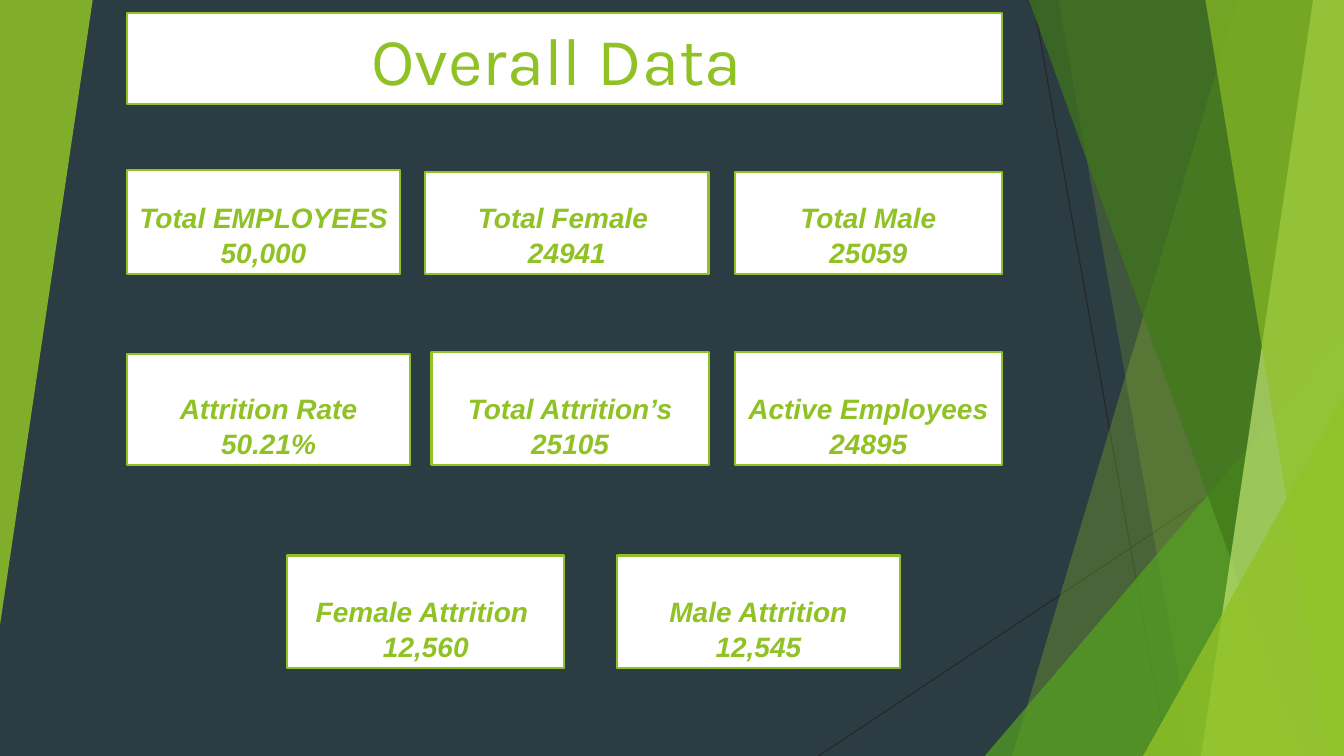
"""Build the overall data slide of employee and attrition totals."""
from lxml import etree
from pptx import Presentation
from pptx.dml.color import RGBColor
from pptx.enum.shapes import MSO_CONNECTOR, MSO_SHAPE
from pptx.enum.text import MSO_ANCHOR, MSO_AUTO_SIZE, PP_ALIGN
from pptx.oxml.ns import qn
from pptx.util import Pt

WIDTH, HEIGHT = 960, 540
TITLE = "Overall Data "
TITLE_AREA = (90.7, 9.2, 625, 65)

CARD_ROWS = [
    (195.8, [
        (90.7, 195.1, 74.2, "Total EMPLOYEES", "50,000"),
        (303.8, 202.3, 72.7, "Total Female ", "24941"),
        (524.9, 190.8, 72.7, "Total Male", "25059"),
    ]),
    (332, [
        (90.7, 202.3, 79.2, "Attrition Rate", "50.21%"),
        (308.2, 198, 80.6, "Total Attrition’s", "25105"),
        (524.9, 190.8, 80.6, "Active Employees", "24895"),
    ]),
    (477.4, [
        (205.2, 198, 80.6, "Female Attrition ", "12,560"),
        (440.6, 202.3, 80.6, "Male Attrition", "12,545"),
    ]),
]

WHITE = RGBColor(0xFF, 0xFF, 0xFF)
SLATE = RGBColor(0x2C, 0x3C, 0x43)
CHARCOAL = RGBColor(0x26, 0x26, 0x26)
LIME = RGBColor(0x90, 0xC2, 0x26)
GREEN = RGBColor(0x54, 0xA0, 0x21)
FOREST = RGBColor(0x3F, 0x78, 0x19)
PALE_LIME = RGBColor(0xC0, 0xE4, 0x74)

THIN_LINES = [(738, 0, 834, HEIGHT), (WIDTH, 290, 584.6, HEIGHT)]
BAND, WEDGE = "band", "wedge"
RIGHT_FACETS = [
    (BAND, 884.2, 722.9, LIME, 30),
    (BAND, 756, 851.8, LIME, 20),
    (WEDGE, 703.4, 239.8, GREEN, 72),
    (BAND, 735.1, 929.5, FOREST, 70),
    (BAND, 938.2, 858.2, PALE_LIME, 70),
    (BAND, 861.1, 949, LIME, 65),
    (WEDGE, 816.5, 283, LIME, 80),
]
LEFT_WEDGE = (0, 0, 66.2, 446.4)

RECTANGLE = MSO_SHAPE.RECTANGLE
TRIANGLE = MSO_SHAPE.ISOSCELES_TRIANGLE
STRAIGHT = MSO_CONNECTOR.STRAIGHT
BOTTOM = MSO_ANCHOR.BOTTOM
NO_AUTOFIT = MSO_AUTO_SIZE.NONE
CENTER = PP_ALIGN.CENTER


def place(shape, area):
    shape.left, shape.top, shape.width, shape.height = map(Pt, area)


def paint(shape, color, opacity):
    shape.shadow.inherit = False
    shape.line.fill.background()
    shape.fill.solid()
    shape.fill.fore_color.rgb = color
    tint = shape.fill._xPr.find(".//" + qn("a:srgbClr"))
    etree.SubElement(tint, qn("a:alpha")).set("val", str(opacity * 1000))


def add_thin_line(page, ends):
    line = page.shapes.add_connector(STRAIGHT, *map(Pt, ends))
    line.line.color.rgb = CHARCOAL
    line.line.width = Pt(0.75)
    etree.SubElement(line._element.spPr, qn("a:effectLst"))


def add_band(page, top_left, bottom_left, color, opacity):
    builder = page.shapes.build_freeform(top_left, 0, scale=Pt(1))
    builder.add_line_segments(
        [(WIDTH, 0), (WIDTH, HEIGHT), (bottom_left, HEIGHT)], close=True)
    paint(builder.convert_to_shape(), color, opacity)


def add_wedge(page, area, color, opacity, rotation=0):
    wedge = page.shapes.add_shape(TRIANGLE, *map(Pt, area))
    wedge.adjustments[0] = 1
    wedge.rotation = rotation
    paint(wedge, color, opacity)


def fill_box(box, lines, font, size, emphasis):
    box.fill.solid()
    box.fill.fore_color.rgb = WHITE
    box.line.color.rgb = LIME
    box.line.width = Pt(1.5)
    frame = box.text_frame
    frame.word_wrap = True
    frame.auto_size = NO_AUTOFIT
    frame.vertical_anchor = BOTTOM
    for index, text in enumerate(lines):
        para = frame.add_paragraph() if index else frame.paragraphs[0]
        para.alignment = CENTER
        para.space_before = Pt(1)
        span = para.add_run()
        span.text = text
        span.font.name = font
        span.font.size = Pt(size)
        span.font.bold = span.font.italic = emphasis
        span.font.color.rgb = LIME


def main():
    deck = Presentation()
    deck.slide_width, deck.slide_height = Pt(WIDTH), Pt(HEIGHT)
    page = deck.slides.add_slide(deck.slide_layouts[0])
    page.background.fill.solid()
    page.background.fill.fore_color.rgb = SLATE

    for ends in THIN_LINES:
        add_thin_line(page, ends)
    for kind, first, second, color, opacity in RIGHT_FACETS:
        if kind == BAND:
            add_band(page, first, second, color, opacity)
        else:
            area = (first, second, WIDTH - first, HEIGHT - second)
            add_wedge(page, area, color, opacity)
    add_wedge(page, LEFT_WEDGE, LIME, 85, rotation=180)

    title = page.shapes.title
    place(title, TITLE_AREA)
    fill_box(title, [TITLE], "Karla", 48, False)

    card = page.placeholders[1]
    for bottom, cards in CARD_ROWS:
        for left, width, height, label, value in cards:
            area = (left, bottom - height, width, height)
            if card is None:
                card = page.shapes.add_shape(RECTANGLE, *map(Pt, area))
                card.shadow.inherit = False
            else:
                place(card, area)
            fill_box(card, [label, value], "Arial", 20, True)
            card = None

    deck.save("out.pptx")


if __name__ == "__main__":
    main()
